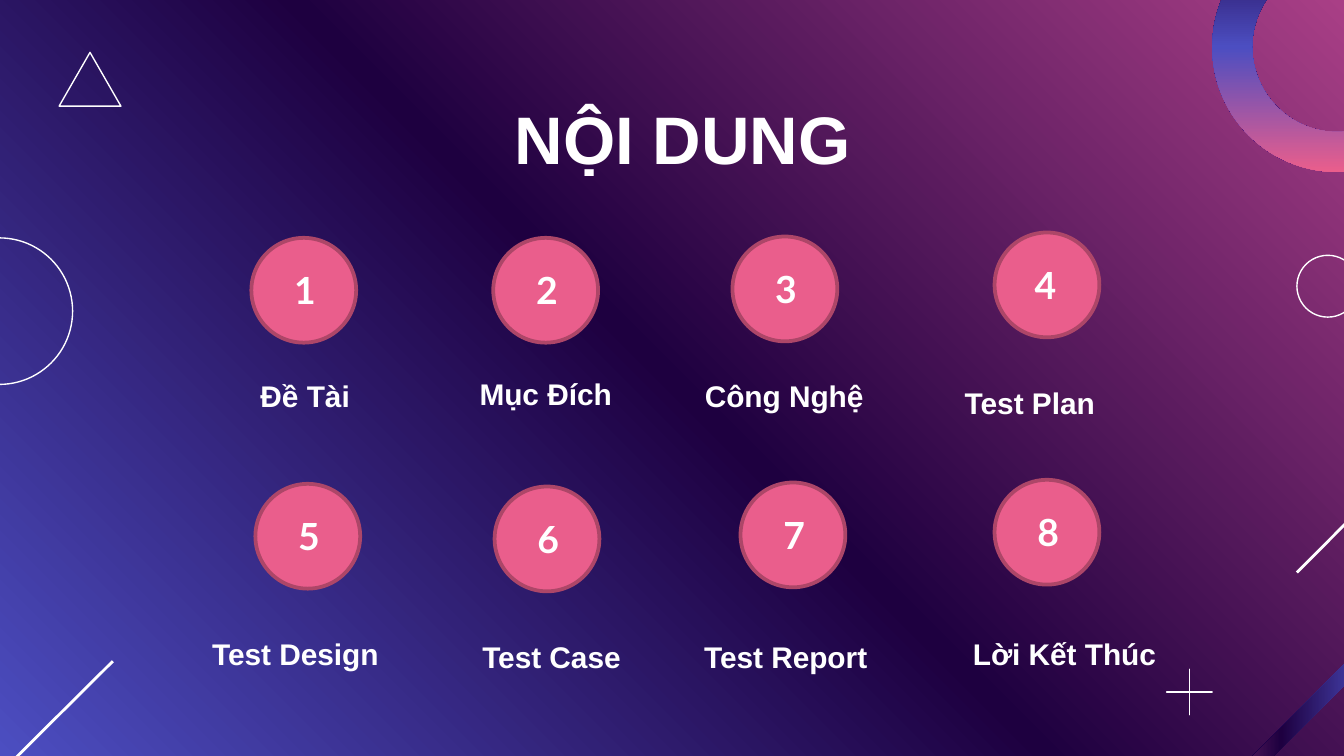
from copy import deepcopy
from dataclasses import dataclass

from lxml import etree
from pptx import Presentation
from pptx.dml.color import RGBColor
from pptx.enum.shapes import MSO_CONNECTOR, MSO_SHAPE
from pptx.enum.text import MSO_ANCHOR, MSO_AUTO_SIZE, PP_ALIGN
from pptx.oxml.ns import qn
from pptx.util import Inches, Pt

OVAL, TRIANGLE, PLUS = MSO_SHAPE.OVAL, MSO_SHAPE.ISOSCELES_TRIANGLE, MSO_SHAPE.MATH_PLUS
ARC, BAR = MSO_SHAPE.BLOCK_ARC, MSO_SHAPE.RECTANGLE
LEFT, CENTER = PP_ALIGN.LEFT, PP_ALIGN.CENTER


@dataclass(frozen=True)
class Theme:
    white: str = "FFFFFF"
    pink: str = "EA5E8C"
    rim: str = "AD4668"
    night: str = "1E0040"
    blue: str = "4C4EC1"
    magenta: str = "A93F86"
    text_font: str = "Arial"
    number_font: str = "Lato"
    title_size: int = 36
    number_size: int = 20
    label_size: int = 16


T = Theme()
WIDTH = 10
HEIGHT = WIDTH * 9 / 16
BACKDROP = (T.blue, T.night, T.magenta)
RING = (T.night, T.blue, T.pink)

TITLE = "NỘI DUNG"
TITLE_BOX = (0.86, 0.73, 8.44, 0.59)

# label, circle (left, top), label box (left, top, width), alignment
TOPICS = [
    ("Đề Tài", (1.87, 1.77), (1.84, 2.76, 0.97), LEFT),
    ("Mục Đích", (3.67, 1.77), (3.47, 2.75, 1.23), LEFT),
    ("Công Nghệ", (5.45, 1.76), (5.08, 2.76, 1.51), CENTER),
    ("Test Plan", (7.40, 1.73), (7.08, 2.81, 1.70), LEFT),
    ("Test Design", (1.90, 3.60), (1.48, 4.68, 1.65), LEFT),
    ("Test Case", (3.68, 3.62), (3.49, 4.70, 1.43), LEFT),
    ("Test Report", (5.51, 3.59), (5.14, 4.70, 1.65), LEFT),
    ("Lời Kết Thúc", (7.40, 3.57), (7.14, 4.68, 1.65), LEFT),
]
CIRCLE = 0.78
NUMBER_W, NUMBER_H, LABEL_H = 0.34, 0.44, 0.37
NUMBER_SHIFT = {4: -0.02}

OUTLINES = [
    (TRIANGLE, (0.44, 0.39, 0.46, 0.40)),
    (OVAL, (-0.55, 1.77, 1.09, 1.09)),
    (PLUS, (8.62, 4.92, 0.46, 0.46)),
    (OVAL, (9.65, 1.90, 0.46, 0.46)),
]
DIAGONALS = [(-0.84, 6.59, 0.84, 4.92), (9.65, 4.26, 11.32, 2.58)]


def inches(values):
    return [Inches(v) for v in values]


def rgb(color):
    return RGBColor.from_string(color)


def set_gradient(fill, element, colors, angle):
    """Spread evenly spaced colours along a clockwise angle in degrees."""
    fill.gradient()
    grad = element.find(".//" + qn("a:gradFill"))
    stops = grad.find(qn("a:gsLst"))
    while len(stops) < len(colors):
        stops.append(deepcopy(stops[0]))
    for i, (stop, color) in enumerate(zip(fill.gradient_stops, colors)):
        stop.position = i / (len(colors) - 1)
        stop.color.rgb = rgb(color)
    grad.find(qn("a:lin")).set("ang", str(angle * 60000))


def add_figure(slide, kind, box, fill=None, line=None, width=0.75):
    sp = slide.shapes.add_shape(kind, *inches(box))
    sp.shadow.inherit = False
    if fill:
        sp.fill.solid()
        sp.fill.fore_color.rgb = rgb(fill)
    else:
        sp.fill.background()
    if line:
        sp.line.color.rgb = rgb(line)
        sp.line.width = Pt(width)
    else:
        sp.line.fill.background()
    return sp


def write(tf, text, font, size, align):
    tf.text = text
    p = tf.paragraphs[0]
    p.alignment = align
    f = p.runs[0].font
    f.name, f.size, f.bold = font, Pt(size), True
    f.color.rgb = rgb(T.white)


def add_text(slide, box, text, font, size, align=LEFT):
    tf = slide.shapes.add_textbox(*inches(box)).text_frame
    tf.word_wrap = True
    tf.auto_size = MSO_AUTO_SIZE.SHAPE_TO_FIT_TEXT
    write(tf, text, font, size, align)


def add_decoration(slide):
    set_gradient(slide.background.fill, slide.element, BACKDROP, 315)
    for kind, box in OUTLINES:
        sp = add_figure(slide, kind, box, line=T.white)
        if kind == PLUS:
            sp.adjustments[0] = 0
    for ends in DIAGONALS:
        line = slide.shapes.add_connector(MSO_CONNECTOR.STRAIGHT, *inches(ends))
        line.line.color.rgb = rgb(T.white)
        line.line.width = Pt(1.5)
        etree.SubElement(line.element.spPr, qn("a:effectLst"))

    ring = add_figure(slide, ARC, (9.02, -0.58, 1.86, 1.86))
    for i, value in enumerate((198.09, 129.34, 0.16)):
        ring.adjustments[i] = value
    set_gradient(ring.fill, ring.element, RING, 90)

    bar = add_figure(slide, BAR, (8.58, 5.44, 1.90, 0.11))
    bar.rotation = 314.9
    set_gradient(bar.fill, bar.element, BACKDROP, 225)


def add_title(slide):
    title = slide.shapes.title
    title.left, title.top, title.width, title.height = inches(TITLE_BOX)
    tf = title.text_frame
    tf.vertical_anchor = MSO_ANCHOR.MIDDLE
    tf.margin_left = tf.margin_right = tf.margin_top = tf.margin_bottom = Inches(0.1)
    write(tf, TITLE, T.text_font, T.title_size, CENTER)


def add_topic(slide, number, label, circle, label_box, align):
    x, y = circle
    add_figure(slide, OVAL, (x, y, CIRCLE, CIRCLE), T.pink, T.rim, 2)
    number_x = x + (CIRCLE - NUMBER_W) / 2 + NUMBER_SHIFT.get(number, 0)
    number_y = y + (CIRCLE - NUMBER_H) / 2
    add_text(slide, (number_x, number_y, NUMBER_W, NUMBER_H), str(number),
             T.number_font, T.number_size)
    add_text(slide, (*label_box, LABEL_H), label, T.text_font, T.label_size, align)


def main():
    prs = Presentation()
    prs.slide_width, prs.slide_height = inches((WIDTH, HEIGHT))
    slide = prs.slides.add_slide(prs.slide_layouts[5])
    add_decoration(slide)
    add_title(slide)
    for number, topic in enumerate(TOPICS, start=1):
        add_topic(slide, number, *topic)
    prs.save("out.pptx")


if __name__ == "__main__":
    main()
